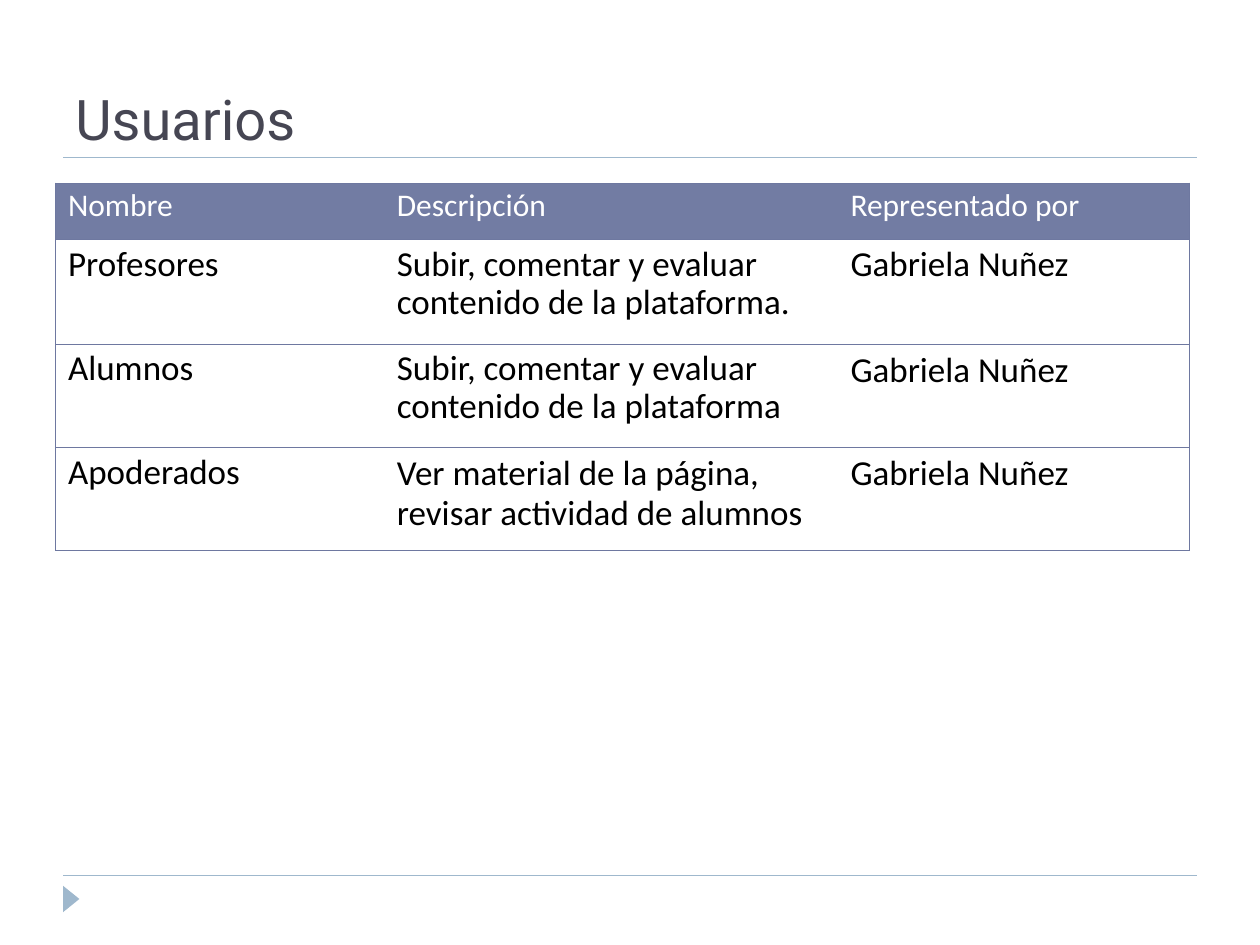
import pptx
import pptx.dml.color
import pptx.enum.shapes
import pptx.enum.text
import pptx.oxml
import pptx.oxml.ns
import pptx.util
from pptx.dml.color import RGBColor
from pptx.util import Inches

RULE_BLUE = RGBColor(0x9F, 0xB8, 0xCD)
TITLE_GREY = RGBColor(0x46, 0x46, 0x53)
HEADER_BLUE = RGBColor(0x72, 0x7C, 0xA3)
BORDER_BLUE = RGBColor(0x6E, 0x78, 0xA0)
WHITE = RGBColor(0xFF, 0xFF, 0xFF)
BLACK = RGBColor(0, 0, 0)

COLUMN_WIDTHS = (2.61, 3.6, 2.79)
ROW_HEIGHTS = (0.45, 0.83, 0.82, 0.82)
TIGHT, LOOSE = 0.89, 0.93
ROWS = (
    (("Nombre", TIGHT), ("Descripción", TIGHT), ("Representado por", TIGHT)),
    (("Profesores", TIGHT),
     ("Subir, comentar y evaluar contenido de la plataforma. ", TIGHT),
     ("Gabriela Nuñez", TIGHT)),
    (("Alumnos", TIGHT),
     ("Subir, comentar y evaluar contenido de la plataforma", TIGHT),
     ("Gabriela Nuñez", LOOSE)),
    (("Apoderados", TIGHT),
     ("Ver material de la página, revisar actividad de alumnos", LOOSE),
     ("Gabriela Nuñez", LOOSE)),
)


def write_text(text_frame, text, *, font, size, color, spacing=None):
    """Write one formatted paragraph into a text frame."""
    text_frame.word_wrap = True
    paragraph = text_frame.paragraphs[0]
    paragraph.line_spacing = spacing
    run = paragraph.add_run()
    run.text = text
    run.font.name = font
    run.font.size = pptx.util.Pt(size)
    run.font.bold = False
    run.font.color.rgb = color


def add_rule(slide, left, top, width):
    """Draw a thin horizontal rule."""
    rule = slide.shapes.add_connector(
        pptx.enum.shapes.MSO_CONNECTOR.STRAIGHT,
        Inches(left), Inches(top), Inches(left + width), Inches(top))
    rule.line.color.rgb = RULE_BLUE
    rule.line.width = pptx.util.Pt(0.74)
    rule._element.spPr.append(pptx.oxml.parse_xml(
        f"<a:effectLst {pptx.oxml.ns.nsdecls('a')}/>"))


def add_footer(slide, left, top, width):
    """Draw the footer rule and the marker below it."""
    add_rule(slide, left, top, width)
    marker = slide.shapes.add_shape(
        pptx.enum.shapes.MSO_SHAPE.ISOSCELES_TRIANGLE,
        Inches(left - 0.04), Inches(top + 0.12), Inches(0.21), Inches(0.13))
    marker.rotation = 90
    marker.shadow.inherit = False
    marker.fill.solid()
    marker.fill.fore_color.rgb = RULE_BLUE
    marker.line.fill.background()


def add_title(slide, left, top, width, height, text):
    """Place the title above its rule."""
    add_rule(slide, left, top + height, width)
    title = slide.shapes.add_textbox(
        Inches(left), Inches(top), Inches(width), Inches(height))
    title.text_frame.vertical_anchor = pptx.enum.text.MSO_ANCHOR.BOTTOM
    write_text(title.text_frame, text, font="Roboto", size=32, color=TITLE_GREY)


def set_borders(cell, visible_sides):
    """Draw the visible sides of a cell and clear the others."""
    properties = cell._tc.get_or_add_tcPr()
    for side in "LRTB":
        paint = "<a:noFill/>"
        if side in visible_sides:
            paint = f'<a:solidFill><a:srgbClr val="{BORDER_BLUE}"/></a:solidFill>'
        properties.append(pptx.oxml.parse_xml(
            f'<a:ln{side} {pptx.oxml.ns.nsdecls("a")} w="720">{paint}</a:ln{side}>'))


def add_users_table(slide, left, top):
    """Build the table of users."""
    table = slide.shapes.add_table(
        len(ROWS), len(COLUMN_WIDTHS), Inches(left), Inches(top),
        Inches(sum(COLUMN_WIDTHS)), Inches(sum(ROW_HEIGHTS))).table
    table.horz_banding = False
    for column, width in zip(table.columns, COLUMN_WIDTHS):
        column.width = Inches(width)
    for row, height in zip(table.rows, ROW_HEIGHTS):
        row.height = Inches(height)
    outer_sides = ("L", "", "R")
    for row_index, entries in enumerate(ROWS):
        is_header = row_index == 0
        for column_index, (text, spacing) in enumerate(entries):
            cell = table.cell(row_index, column_index)
            set_borders(cell, "TB" + outer_sides[column_index])
            if is_header:
                cell.fill.solid()
                cell.fill.fore_color.rgb = HEADER_BLUE
            else:
                cell.fill.background()
            write_text(cell.text_frame, text, font="Calibri",
                       size=18 if is_header else 20,
                       color=WHITE if is_header else BLACK, spacing=spacing)


def main():
    """Build and save the slide."""
    presentation = pptx.Presentation()
    presentation.slide_width = Inches(10)
    presentation.slide_height = Inches(7.5)
    slide = presentation.slides.add_slide(presentation.slide_layouts[6])
    add_footer(slide, 0.5, 6.95, 9)
    add_title(slide, 0.5, 0.17, 9, 1.08, "Usuarios")
    add_users_table(slide, 0.44, 1.45)
    presentation.save("out.pptx")


main()
